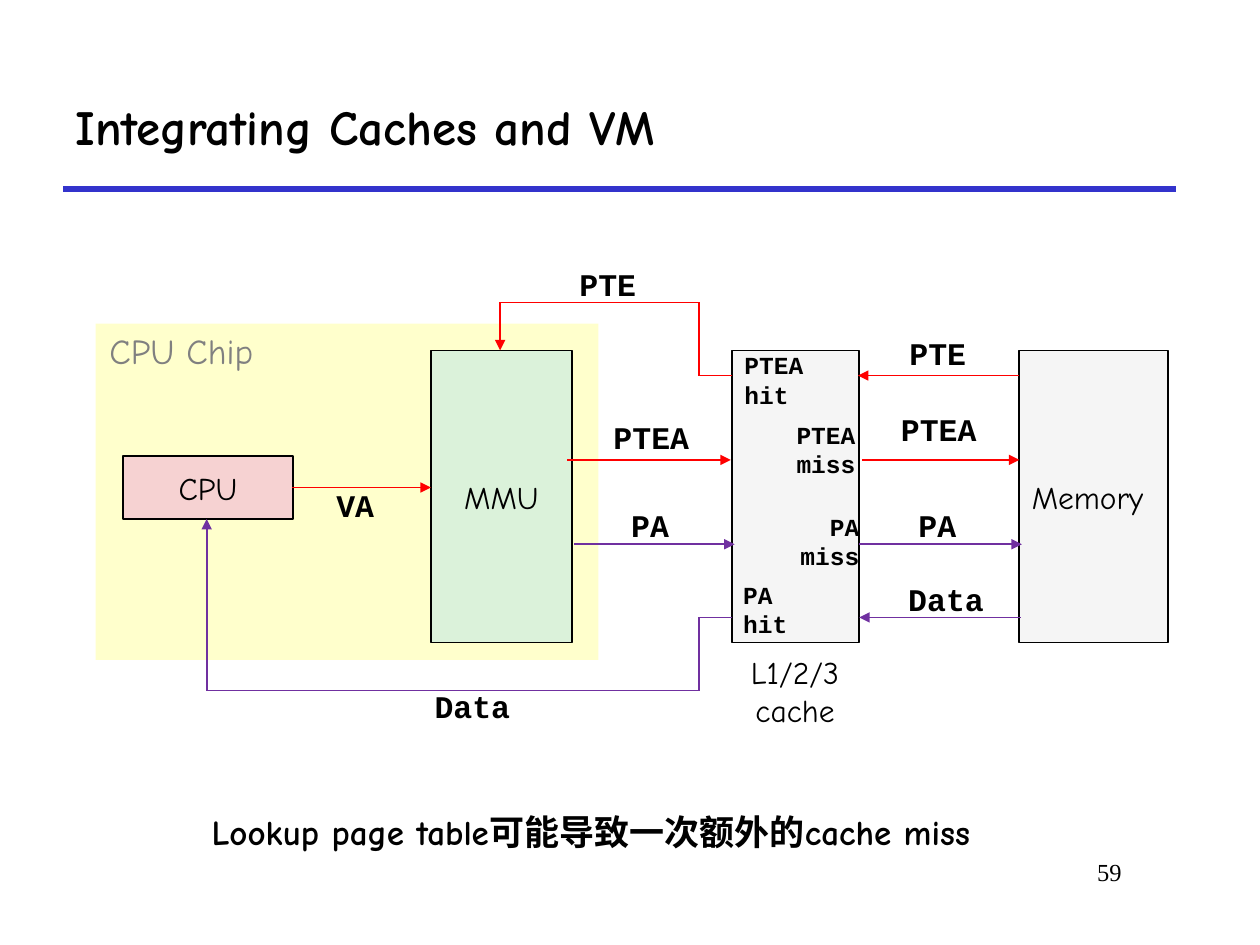
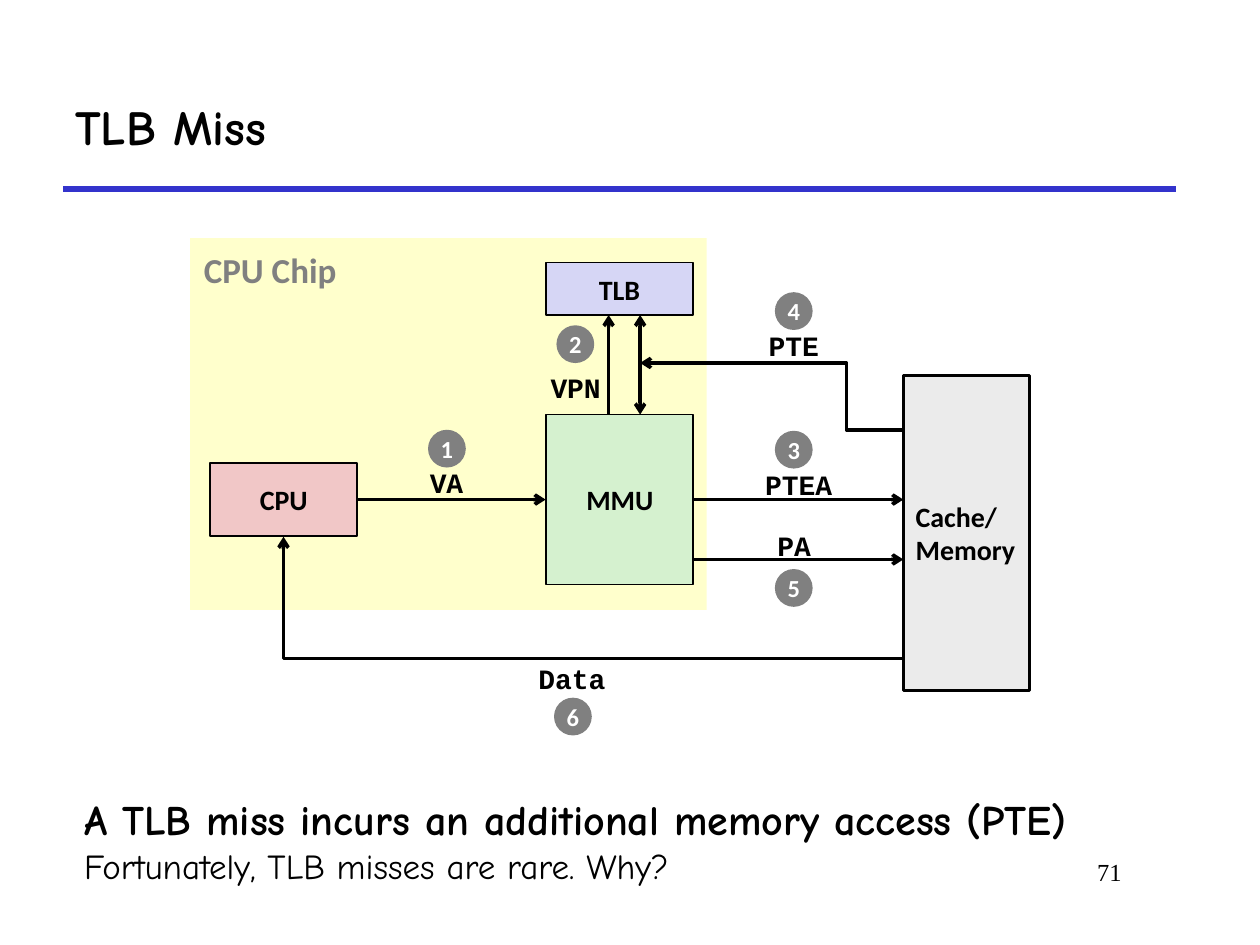
from collections import namedtuple

from lxml import etree
from pptx import Presentation
from pptx.dml.color import RGBColor
from pptx.enum import shapes as sh, text as tx
from pptx.oxml import ns
from pptx.util import Pt

BLACK = RGBColor(0, 0, 0)
WHITE = RGBColor(255, 255, 255)
GREY = RGBColor(0x80, 0x80, 0x80)
BLUE = RGBColor(0x33, 0x33, 0xCC)
RED = RGBColor(0xFF, 0, 0)
PURPLE = RGBColor(0x70, 0x30, 0xA0)
CREAM = RGBColor(0xFF, 0xFF, 0xCC)
PINK = RGBColor(0xF6, 0xD2, 0xD2)
ROSE = RGBColor(0xF1, 0xC7, 0xC7)
MINT = RGBColor(0xDB, 0xF2, 0xDA)
GREEN = RGBColor(0xD5, 0xF1, 0xCF)
LILAC = RGBColor(0xD6, 0xD6, 0xF5)
PALE = RGBColor(0xF5, 0xF5, 0xF5)
SILVER = RGBColor(0xEB, 0xEB, 0xEB)

Font = namedtuple("Font", "face size bold colour", defaults=(False, BLACK))
COMIC, MONO, SANS = "Comic Neue", "Courier New", "Calibri"
TITLE = Font(COMIC, 28, True)
NUMBER = Font("Times New Roman", 14)
PLAIN = Font(COMIC, 18)
CHIP = Font(COMIC, 20, False, GREY)
CLAIM = Font(COMIC, 20, True)
LABEL = Font(MONO, 18, True)
SMALL = Font(MONO, 14, True)
CODE = Font(MONO, 16, True)
NODE = Font(SANS, 16, True)
BADGE = Font(SANS, 14, True, WHITE)

LEFT, MID, RIGHT = tx.PP_ALIGN.LEFT, tx.PP_ALIGN.CENTER, tx.PP_ALIGN.RIGHT
TOP, CENTER = tx.MSO_ANCHOR.TOP, tx.MSO_ANCHOR.MIDDLE
RECT, OVAL = sh.MSO_SHAPE.RECTANGLE, sh.MSO_SHAPE.OVAL


def points(values):
    return [Pt(v) for v in values]


def add_run(para, words, font):
    run = para.add_run()
    run.text = words
    run.font.name = font.face
    run.font.size = Pt(font.size)
    run.font.bold = font.bold
    run.font.color.rgb = font.colour


def fill_text(shape, lines, font, align, anchor, wrap=False, pad=(7.2, 3.6), gap=1):
    frame = shape.text_frame
    frame.word_wrap = wrap
    frame.vertical_anchor = anchor
    frame.margin_left = frame.margin_right = Pt(pad[0])
    frame.margin_top = frame.margin_bottom = Pt(pad[1])
    for i, words in enumerate(lines.split("\n")):
        para = frame.add_paragraph() if i else frame.paragraphs[0]
        para.alignment = align
        para.line_spacing = gap
        add_run(para, words, font)


def add_text(slide, box, lines, font, align=LEFT, anchor=CENTER, **more):
    shape = slide.shapes.add_textbox(*points(box))
    fill_text(shape, lines, font, align, anchor, **more)
    if not more.get("wrap"):
        shape.text_frame.auto_size = tx.MSO_AUTO_SIZE.SHAPE_TO_FIT_TEXT


def add_tight(slide, box, words):
    add_text(slide, box, words, LABEL, anchor=TOP, pad=(5, 2.2), gap=0.85)


def add_box(slide, box, fill, lines="", font=PLAIN, align=MID, edge=1, kind=RECT):
    shape = slide.shapes.add_shape(kind, *points(box))
    shape.shadow.inherit = False
    shape.fill.solid()
    shape.fill.fore_color.rgb = fill
    if edge:
        shape.line.color.rgb = BLACK
        shape.line.width = Pt(edge)
    else:
        shape.line.fill.background()
    if lines:
        fill_text(shape, lines, font, align, CENTER)


def add_badge(slide, left, top, digit):
    add_box(slide, (left, top, 21.6, 21.6), GREY, digit, BADGE, edge=0, kind=OVAL)


def add_line(slide, start, end, colour, width, tip=None, both=False, kind=sh.MSO_CONNECTOR.STRAIGHT):
    line = slide.shapes.add_connector(kind, *points(start + end))
    line.line.color.rgb = colour
    line.line.width = Pt(width)
    pen = line.line._get_or_add_ln()
    if both:
        etree.SubElement(pen, ns.qn("a:headEnd")).set("type", tip)
    if tip:
        etree.SubElement(pen, ns.qn("a:tailEnd")).set("type", tip)
    etree.SubElement(line._element.spPr, ns.qn("a:effectLst"))
    return line


def add_path(slide, colour, *stops):
    last = len(stops) - 2
    for i, (start, end) in enumerate(zip(stops, stops[1:])):
        add_line(slide, start, end, colour, 1, "triangle" if i == last else None)


def add_arrow(slide, start, end, both=False):
    add_line(slide, start, end, BLACK, 2, "arrow", both)


def add_bend(slide, start, end, preset, bend=None):
    line = add_line(slide, end, start, BLACK, 2, "arrow", kind=sh.MSO_CONNECTOR.ELBOW)
    props = line._element.spPr
    props.find(ns.qn("a:xfrm")).set("rot", "10800000")
    shape = props.find(ns.qn("a:prstGeom"))
    shape.set("prst", preset)
    if bend:
        guide = etree.SubElement(shape.find(ns.qn("a:avLst")), ns.qn("a:gd"))
        guide.set("name", "adj1")
        guide.set("fmla", f"val {bend}")


def add_page(deck, title, number):
    slide = deck.slides.add_slide(deck.slide_layouts[6])
    add_line(slide, (36, 108), (672, 108), BLUE, 3)
    add_text(slide, (545.8, 486, 102.2, 36), number, NUMBER, RIGHT, TOP, wrap=True)
    add_text(slide, (36, 36, 636, 72), title, TITLE, wrap=True)
    return slide


def draw_cache(deck):
    slide = add_page(deck, "Integrating Caches and VM", "59")
    add_box(slide, (54.7, 185, 287.3, 192.2), CREAM, edge=0)
    add_box(slide, (70.4, 260.6, 97, 36), PINK, "CPU")
    row = 200.2, 167
    for left, wide, fill, name, align in (
        (246.2, 80.6, MINT, "MMU", MID),
        (418.3, 72.7, PALE, "", MID),
        (582.5, 85, PALE, "Memory", LEFT),
    ):
        add_box(slide, (left, row[0], wide, row[1]), fill, name, align=align)

    hit, ask, send, back = 214.6, 262.8, 311, 352.8
    turn, cpu, mmu = 399.6, 118.1, 285.8
    add_path(slide, RED, (418.3, hit), (turn, hit), (turn, 172.8), (mmu, 172.8), (mmu, 200.2))
    add_path(slide, PURPLE, (418.3, back), (turn, back), (turn, 394.6), (cpu, 394.6), (cpu, 296.6))
    for colour, y, start, end in (
        (RED, 278.6, 167, 246.2),
        (RED, ask, 324, 417.6),
        (RED, ask, 492.5, 582.5),
        (RED, hit, 582.5, 490.3),
        (PURPLE, send, 328.3, 419.8),
        (PURPLE, send, 491, 583.9),
        (PURPLE, back, 583.2, 491),
    ):
        add_path(slide, colour, (start, y), (end, y))

    for left, top, wide, words in (
        (187.2, 278.6, 31.7, "VA"),
        (345.6, 239.8, 53.3, "PTEA"),
        (355.7, 290.2, 31.7, "PA"),
        (509.8, 235.4, 53.3, "PTEA"),
    ):
        add_tight(slide, (left, top, wide, 22.3), words)
    for left, top, wide, words in (
        (324, 147.6, 46.8, "PTE"),
        (241.2, 388.8, 58.3, "Data"),
        (517.7, 285.8, 36.7, "PA"),
        (511.9, 327.6, 58.3, "Data"),
        (512.6, 187.2, 46.8, "PTE"),
    ):
        add_text(slide, (left, top, wide, 28.8), words, LABEL)
    for left, top, wide, words, align in (
        (418.3, 196.6, 56.9, "PTEA\nhit", LEFT),
        (447.8, 236.2, 48.2, "PTEA\nmiss", RIGHT),
        (450, 288.7, 48.2, "PA\nmiss", RIGHT),
        (417.6, 327.6, 39.6, "PA\nhit", LEFT),
    ):
        add_text(slide, (left, top, wide, 41), words, SMALL, align)
    add_text(slide, (421.2, 369.4, 66.2, 51.1), "L1/2/3\ncache", PLAIN, MID)
    add_text(slide, (55.4, 185, 98.6, 31.7), "CPU Chip", CHIP, anchor=TOP)
    claim = "Lookup page table可能导致一次额外的cache miss"
    add_text(slide, (113.8, 459.4, 491.8, 31), claim, CLAIM, anchor=TOP)


def draw_miss(deck):
    slide = add_page(deck, "TLB Miss", "71")
    add_box(slide, (108.7, 136.1, 295.2, 212.4), CREAM, edge=0)
    add_box(slide, (312.2, 236.9, 84, 97.2), GREEN, "MMU", NODE)
    add_box(slide, (516.2, 214.6, 72, 180), SILVER, "Cache/\nMemory", NODE, LEFT, 1.5)
    add_box(slide, (120.2, 264.6, 84, 41.8), ROSE, "CPU", NODE)
    add_box(slide, (312, 150.1, 84, 30), LILAC, "TLB", NODE)

    add_arrow(slide, (204.5, 285.5), (311.8, 285.5))
    add_arrow(slide, (396, 285.5), (516.2, 285.5))
    add_arrow(slide, (396, 319.7), (516.2, 319.7))
    add_arrow(slide, (347.8, 236.9), (347.8, 180))
    add_arrow(slide, (365.8, 180), (365.8, 236.9), both=True)
    add_bend(slide, (516.2, 376.3), (162, 306.7), "bentConnector2")
    add_bend(slide, (516.2, 245.7), (365.8, 207.4), "bentConnector3", 21600)

    for left, top, wide, words in (
        (437, 298.8, 33.8, "PA"),
        (300.2, 375.1, 53.3, "Data"),
        (238.3, 262.8, 33.8, "VA"),
        (432, 185, 43.2, "PTE"),
        (307.4, 208.8, 43.2, "VPN"),
        (429.8, 264.2, 53.3, "PTEA"),
    ):
        add_text(slide, (left, top, wide, 26.6), words, CODE, MID, gap=0.98)
    spots = (
        (244.6, 245.6), (318, 185.9), (442.8, 246.2),
        (442.8, 167), (442.8, 325.2), (316.6, 398.7),
    )
    for digit, (left, top) in enumerate(spots, 1):
        add_badge(slide, left, top, str(digit))

    chip = CHIP._replace(face=SANS, bold=True)
    add_text(slide, (109.4, 138.2, 90.7, 31.7), "CPU Chip", chip, anchor=TOP)
    claim = slide.shapes.add_textbox(*points((41, 450, 661, 72)))
    claim.text_frame.word_wrap = True
    para = claim.text_frame.paragraphs[0]
    add_run(para, "A TLB miss incurs an additional memory access (PTE)", CLAIM._replace(size=24))
    para.add_line_break()
    add_run(para, "Fortunately, TLB misses are rare. Why?", CLAIM._replace(bold=False))


def main():
    deck = Presentation()
    deck.slide_width, deck.slide_height = Pt(720), Pt(540)
    draw_cache(deck)
    draw_miss(deck)
    deck.save("out.pptx")


if __name__ == "__main__":
    main()
